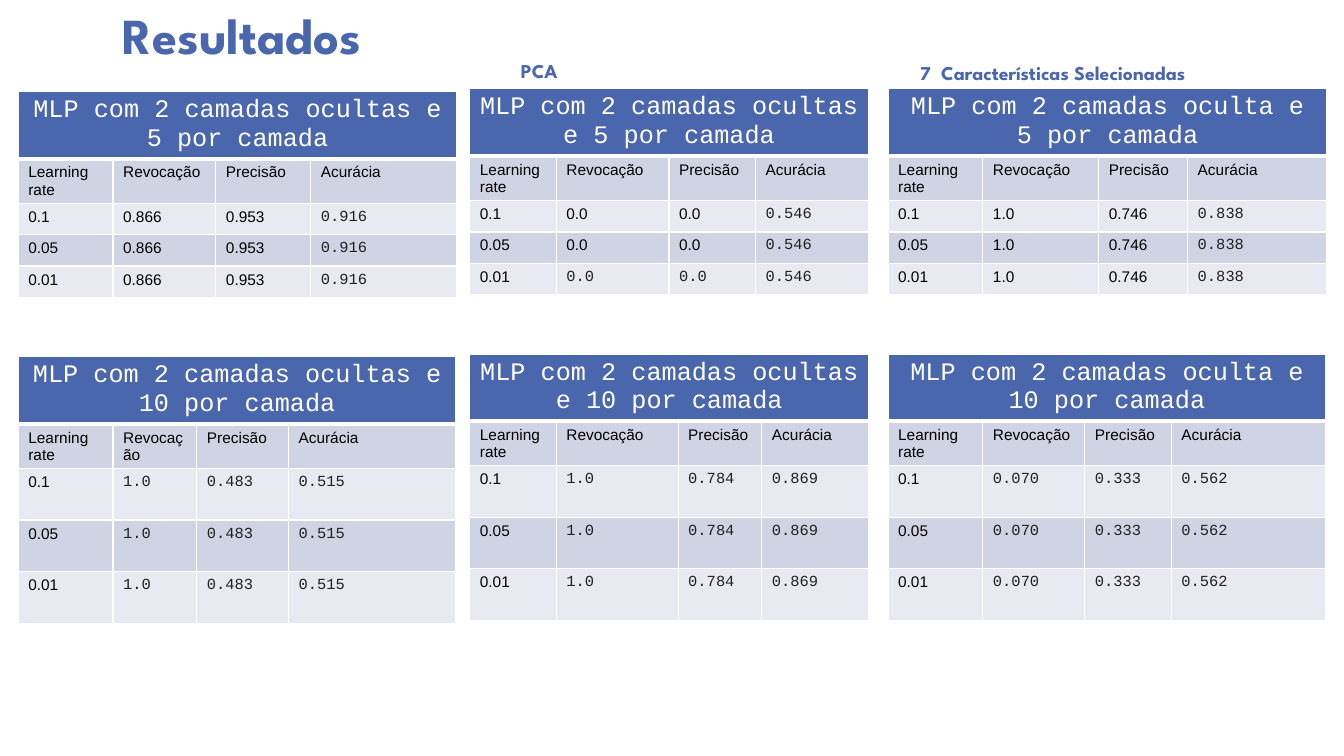
import dataclasses

import lxml.etree
import pptx
import pptx.dml.color
import pptx.enum.text
import pptx.oxml.ns
import pptx.slide
import pptx.table
import pptx.text.text
import pptx.util

Cm = pptx.util.Cm
Pt = pptx.util.Pt
Color = pptx.dml.color.RGBColor
Align = pptx.enum.text.PP_ALIGN

BLUE = Color(0x4A, 0x66, 0xAC)
DARK = Color(0xD0, 0xD3, 0xE3)
PALE = Color(0xE9, 0xEA, 0xF1)
WHITE = Color(0xFF, 0xFF, 0xFF)
BLACK = Color(0x00, 0x00, 0x00)
GREY = Color(0x21, 0x21, 0x21)

SANS, MONO, BRAND = "Arial", "Courier New", "League Spartan"
HEADS = ("Learning rate", "Revocação", "Precisão", "Acurácia")
RATES = ("0.1", "0.05", "0.01")


@dataclasses.dataclass(frozen=True)
class Size:
    """Row heights and frame height in cm."""
    rows: tuple[float, ...]
    height: float


@dataclasses.dataclass(frozen=True)
class Grid:
    """A result table; lengths in cm."""
    title: str
    left: float
    top: float
    cols: tuple[float, ...]
    size: Size
    scores: tuple[str, str, str]
    mono: tuple[int, int, int]  # first monospaced column of each data row


@dataclasses.dataclass(frozen=True)
class Label:
    """A column caption; lengths in cm."""
    text: str
    left: float
    top: float
    width: float


FIVE = Size((0.46, 0.79, 0.79, 0.79, 0.79), 5.33)
TEN = Size((1.4, 0.94, 1.3, 1.3, 1.3), 6.88)

GRIDS = (
    Grid("MLP com 2 camadas ocultas e 5 por camada", 0.46, 2.31,
         (2.39, 2.59, 2.39, 3.68), FIVE, ("0.866", "0.953", "0.916"), (3, 3, 3)),
    Grid("MLP com 2 camadas ocultas e 10 por camada", 0.46, 8.99,
         (2.39, 2.11, 2.31, 4.22), TEN, ("1.0", "0.483", "0.515"), (1, 1, 1)),
    Grid("MLP com 2 camadas ocultas e 5 por camada", 11.84, 2.24,
         (2.18, 2.84, 2.18, 2.84), FIVE, ("0.0", "0.0", "0.546"), (3, 3, 1)),
    Grid("MLP com 2 camadas ocultas e 10 por camada", 11.84, 8.92,
         (2.18, 3.07, 2.11, 2.69), TEN, ("1.0", "0.784", "0.869"), (1, 1, 1)),
    Grid("MLP com 2 camadas oculta e 5 por camada", 22.38, 2.24,
         (2.39, 2.92, 2.24, 3.51), FIVE, ("1.0", "0.746", "0.838"), (3, 3, 3)),
    Grid("MLP com 2 camadas oculta e 10 por camada", 22.38, 8.92,
         (2.39, 2.57, 2.18, 3.89), TEN, ("0.070", "0.333", "0.562"), (1, 1, 1)),
)
LABELS = (
    Label("PCA", 12.88, 0.97, 6.96),
    Label("7  Características Selecionadas", 22.94, 1.02, 8.08),
)


def style(para: pptx.text.text._Paragraph, face: str, size: float,
          color: Color, bold: bool = False) -> None:
    font = para.font
    font.name, font.size, font.bold = face, Pt(size), bold
    font.color.rgb = color


def write(frame: pptx.text.text.TextFrame, text: str, size: float) -> None:
    """Fill a heading frame, set at the bottom left."""
    frame.text = text
    frame.word_wrap = True
    frame.auto_size = pptx.enum.text.MSO_AUTO_SIZE.NONE
    frame.vertical_anchor = pptx.enum.text.MSO_ANCHOR.BOTTOM
    para = frame.paragraphs[0]
    para.alignment = Align.LEFT
    para.line_spacing = 0.9
    style(para, BRAND, size, BLUE, True)


def edge(cell: pptx.table._Cell, row: int) -> None:
    """Draw white borders, with a thick rule under the heading row."""
    props = cell._tc.get_or_add_tcPr()
    thick = {(0, "B"), (1, "T")}
    for side in "LRTB":
        width = Pt(3 if (row, side) in thick else 1)
        line = lxml.etree.SubElement(
            props, pptx.oxml.ns.qn(f"a:ln{side}"), w=str(width))
        fill = lxml.etree.SubElement(line, pptx.oxml.ns.qn("a:solidFill"))
        lxml.etree.SubElement(fill, pptx.oxml.ns.qn("a:srgbClr"), val=str(WHITE))


def paint(cell: pptx.table._Cell, row: int, fill: Color) -> None:
    edge(cell, row)
    cell.fill.solid()
    cell.fill.fore_color.rgb = fill


def draw_grid(slide: pptx.slide.Slide, grid: Grid) -> None:
    frame = slide.shapes.add_table(
        len(grid.size.rows), len(grid.cols), Cm(grid.left), Cm(grid.top),
        Cm(sum(grid.cols)), Cm(grid.size.height))
    table = frame.table
    for col, width in zip(table.columns, grid.cols):
        col.width = Cm(width)
    for row, height in zip(table.rows, grid.size.rows):
        row.height = Cm(height)
    frame.height = Cm(grid.size.height)

    # Heading row
    for col in range(len(grid.cols)):
        paint(table.cell(0, col), 0, BLUE)
    head = table.cell(0, 0)
    head.merge(table.cell(0, len(grid.cols) - 1))
    head.text = grid.title
    para = head.text_frame.paragraphs[0]
    para.alignment = Align.CENTER
    style(para, MONO, 18, WHITE)

    # Column names and scores
    lines = [HEADS] + [(rate, *grid.scores) for rate in RATES]
    starts = (len(HEADS), *grid.mono)
    for row, (line, start) in enumerate(zip(lines, starts), 1):
        for col, text in enumerate(line):
            cell = table.cell(row, col)
            paint(cell, row, DARK if row % 2 else PALE)
            cell.text = text
            face, color = (MONO, GREY) if col >= start else (SANS, BLACK)
            style(cell.text_frame.paragraphs[0], face, 11, color)


def draw_label(slide: pptx.slide.Slide, label: Label) -> None:
    box = slide.shapes.add_textbox(
        Cm(label.left), Cm(label.top), Cm(label.width), Cm(1.24))
    write(box.text_frame, label.text, 14)


def main() -> None:
    deck = pptx.Presentation()
    deck.slide_width, deck.slide_height = Cm(33.87), Cm(19.05)
    slide = deck.slides.add_slide(deck.slide_layouts.get_by_name("Title Only"))

    # Title
    title = slide.shapes.title
    title.left, title.top = Cm(2.84), Cm(0)
    title.width, title.height = Cm(24.13), Cm(1.78)
    write(title.text_frame, "Resultados", 36)

    # Tables and captions
    for grid in GRIDS:
        draw_grid(slide, grid)
    for label in LABELS:
        draw_label(slide, label)

    deck.save("out.pptx")


if __name__ == "__main__":
    main()
